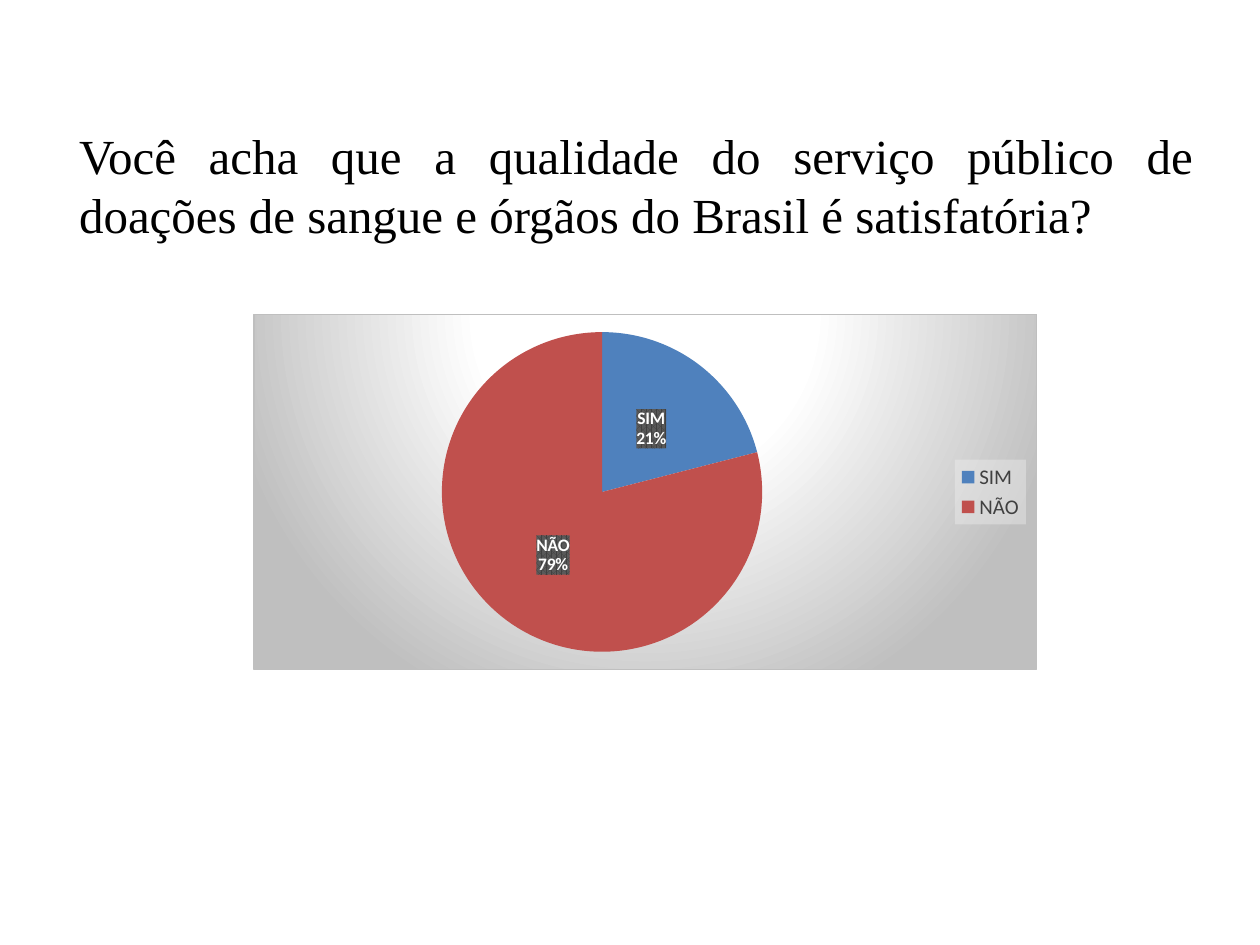
"""Build a survey slide with a question and a pie chart of the answers."""
from dataclasses import dataclass

from lxml.etree import SubElement
from pptx import Presentation
from pptx.chart.data import CategoryChartData
from pptx.dml.color import RGBColor
from pptx.enum.chart import XL_CHART_TYPE as ChartType
from pptx.enum.chart import XL_LABEL_POSITION as LabelPosition
from pptx.enum.chart import XL_LEGEND_POSITION as LegendPosition
from pptx.enum.text import MSO_ANCHOR as Anchor
from pptx.enum.text import PP_ALIGN as Align
from pptx.oxml import parse_xml
from pptx.oxml.ns import nsdecls, qn
from pptx.util import Inches, Pt


@dataclass(frozen=True)
class Theme:
    ink: str = "000000"
    label_ink: str = "FFFFFF"
    legend_ink: str = "404040"
    legend_back: str = "F2F2F2"
    label_back: str = "404040"
    label_dots: str = "595959"
    glow: str = "FFFFFF"
    edge: str = "BFBFBF"
    question_font: str = "Times New Roman"
    chart_font: str = "Calibri"
    question_size: int = 28
    label_size: int = 10
    legend_size: int = 12


@dataclass(frozen=True)
class Answer:
    name: str
    percent: int
    color: str


THEME = Theme()
ANSWERS = [Answer("SIM", 21, "4F81BD"), Answer("NÃO", 79, "C0504D")]


def style_font(font, name: str, size: int, color: str, bold: bool = False) -> None:
    font.name, font.size, font.bold = name, Pt(size), bold
    font.color.rgb = RGBColor.from_string(color)


def add_text(slide, text: str, left: float, top: float, width: float,
             height: float, *, align=Align.LEFT, anchor=Anchor.TOP, **font) -> None:
    frame = slide.shapes.add_textbox(
        Inches(left), Inches(top), Inches(width), Inches(height)).text_frame
    frame.word_wrap = True
    frame.vertical_anchor = anchor
    paragraph = frame.paragraphs[0]
    paragraph.alignment = align
    run = paragraph.add_run()
    run.text = text
    style_font(run.font, **font)


def solid(color: str, alpha: int = 100) -> str:
    return (f'<a:solidFill><a:srgbClr val="{color}">'
            f'<a:alpha val="{alpha * 1000}"/></a:srgbClr></a:solidFill>')


def radial(stops: list[tuple[int, str]]) -> str:
    marks = "".join(f'<a:gs pos="{at * 1000}"><a:srgbClr val="{color}"/></a:gs>'
                    for at, color in stops)
    return (f'<a:gradFill><a:gsLst>{marks}</a:gsLst><a:path path="circle">'
            '<a:fillToRect l="50000" t="-80000" r="50000" b="180000"/>'
            '</a:path></a:gradFill>')


def pattern(front: str, back: str) -> str:
    return (f'<a:pattFill prst="pct75"><a:fgClr><a:srgbClr val="{front}"/></a:fgClr>'
            f'<a:bgClr><a:srgbClr val="{back}"/></a:bgClr></a:pattFill>')


def set_back(part, fill: str, line: str = "<a:ln><a:noFill/></a:ln>") -> None:
    part.find(qn("c:txPr")).addprevious(
        parse_xml(f'<c:spPr {nsdecls("c", "a")}>{fill}{line}</c:spPr>'))


def place_plot(chart, **fractions: float) -> None:
    area = chart.plots[0]._element.getparent()
    for old in area.findall(qn("c:layout")):
        area.remove(old)
    values = "".join(f'<c:{key} val="{value}"/>' for key, value in fractions.items())
    area.insert(0, parse_xml(
        f'<c:layout {nsdecls("c")}><c:manualLayout><c:layoutTarget val="inner"/>'
        f'<c:xMode val="edge"/><c:yMode val="edge"/>{values}'
        '</c:manualLayout></c:layout>'))


def add_labels(series) -> None:
    labels = series.data_labels
    style_font(labels.font, THEME.chart_font, THEME.label_size, THEME.label_ink, True)
    labels.show_value = False
    labels.show_percentage = labels.show_category_name = True
    labels.position = LabelPosition.CENTER
    separator = SubElement(labels._element, qn("c:separator"))
    separator.text = "\n"
    labels._element.find(qn("c:showBubbleSize")).addnext(separator)
    set_back(labels._element, pattern(THEME.label_back, THEME.label_dots))


def add_pie(slide, answers: list[Answer], left: float, top: float,
            width: float, height: float) -> None:
    data = CategoryChartData()
    data.categories = [answer.name for answer in answers]
    data.add_series("Series 1", [answer.percent for answer in answers])
    chart = slide.shapes.add_chart(
        ChartType.PIE, Inches(left), Inches(top), Inches(width), Inches(height),
        data).chart
    chart.has_title = False
    style_font(chart.font, THEME.chart_font, THEME.label_size, THEME.ink)
    set_back(chart._chartSpace,
             radial([(0, THEME.glow), (39, THEME.glow), (100, THEME.edge)]),
             f'<a:ln w="{Pt(0.75)}">{solid(THEME.edge)}</a:ln>')
    place_plot(chart, x=0.24, y=0.05, w=0.41, h=0.9)

    chart.has_legend = True
    legend = chart.legend
    legend.position = LegendPosition.RIGHT
    legend.include_in_layout = False
    style_font(legend.font, THEME.chart_font, THEME.legend_size, THEME.legend_ink)
    set_back(legend._element, solid(THEME.legend_back, 39))

    chart.plots[0].vary_by_categories = True
    series = chart.plots[0].series[0]
    for index, answer in enumerate(answers):
        wedge = series.points[index].format
        wedge.fill.solid()
        wedge.fill.fore_color.rgb = RGBColor.from_string(answer.color)
        wedge.line.fill.background()
    add_labels(series)


def main() -> None:
    deck = Presentation()
    deck.slide_width, deck.slide_height = Inches(10), Inches(7.5)
    slide = deck.slides.add_slide(deck.slide_layouts[6])
    add_text(slide, "Você acha que a qualidade do serviço público de doações de "
             "sangue e órgãos do Brasil é satisfatória?", 0.53, 0.6, 9.04, 1.72,
             align=Align.JUSTIFY, anchor=Anchor.MIDDLE, name=THEME.question_font,
             size=THEME.question_size, color=THEME.ink)
    add_pie(slide, ANSWERS, 2.01, 2.49, 6.22, 2.83)
    deck.save("out.pptx")


if __name__ == "__main__":
    main()
